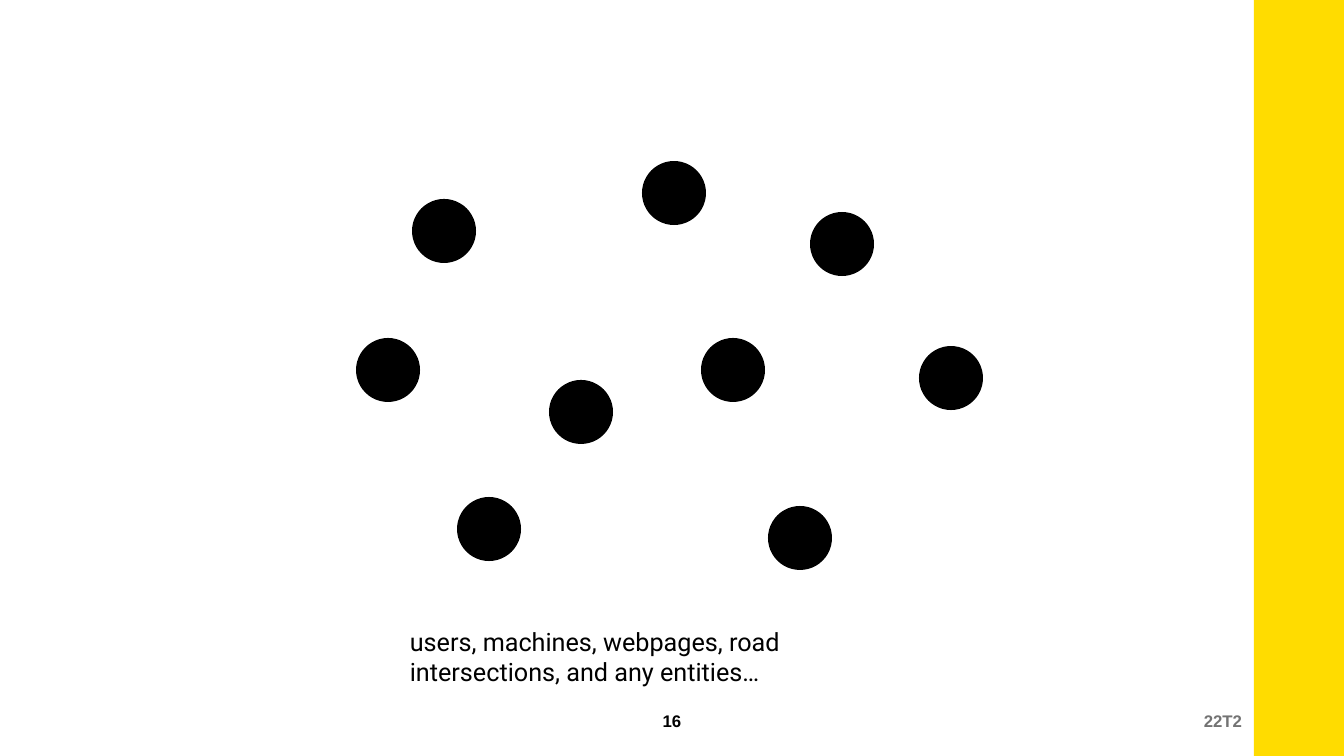
from dataclasses import dataclass

from pptx import Presentation
from pptx import util as u
from pptx.dml.color import RGBColor
from pptx.enum import shapes, text

PX_PER_INCH = 100.8
PAGE_WIDTH, PAGE_HEIGHT = 1344, 756
BAND_WIDTH = 90
DOT_SIZE = 64
DOT_CENTRES = [
    (444, 231), (674, 193), (581, 412), (733, 370), (489, 529),
    (842, 244), (800, 538), (951, 378), (388, 370),
]


@dataclass(frozen=True)
class Theme:
    ink: str = "000000"
    muted: str = "737373"
    accent: str = "FFDC00"
    body_font: str = "Roboto"
    footer_font: str = "Arial"
    body_size: int = 18
    footer_size: int = 12


def px(length):
    return u.Emu(round(length * u.Inches(1) / PX_PER_INCH))


class Painter:
    """Draws styled elements on one slide."""

    def __init__(self, page, theme):
        self.page = page
        self.theme = theme

    def shape(self, kind, left, top, width, height, color):
        shape = self.page.shapes.add_shape(
            kind, px(left), px(top), px(width), px(height))
        shape.shadow.inherit = False
        shape.fill.solid()
        shape.fill.fore_color.rgb = RGBColor.from_string(color)
        shape.line.fill.background()

    def dot(self, center_x, center_y):
        radius = DOT_SIZE // 2
        self.shape(shapes.MSO_SHAPE.OVAL, center_x - radius,
                   center_y - radius, DOT_SIZE, DOT_SIZE, self.theme.ink)

    def label(self, words, left, top, width, height, font, size, color,
              bold=False, align=text.PP_ALIGN.LEFT,
              anchor=text.MSO_ANCHOR.TOP):
        box = self.page.shapes.add_textbox(
            px(left), px(top), px(width), px(height))
        frame = box.text_frame
        frame.word_wrap = True
        frame.vertical_anchor = anchor
        frame.text = words
        para = frame.paragraphs[0]
        para.alignment = align
        span = para.runs[0]
        span.font.name = font
        span.font.size = u.Pt(size)
        span.font.bold = bold
        span.font.color.rgb = RGBColor.from_string(color)

    def footer(self, words, left, width, color, align):
        self.label(words, left, 701, width, 40, self.theme.footer_font,
                   self.theme.footer_size, color, bold=True, align=align,
                   anchor=text.MSO_ANCHOR.MIDDLE)


def main():
    deck = Presentation()
    deck.slide_width, deck.slide_height = px(PAGE_WIDTH), px(PAGE_HEIGHT)
    theme = Theme()
    painter = Painter(deck.slides.add_slide(deck.slide_layouts[6]), theme)

    painter.shape(shapes.MSO_SHAPE.RECTANGLE, PAGE_WIDTH - BAND_WIDTH, 0,
                  BAND_WIDTH, PAGE_HEIGHT, theme.accent)
    for center in DOT_CENTRES:
        painter.dot(*center)
    painter.footer("16", 521, 302, theme.ink, text.PP_ALIGN.CENTER)
    painter.footer("22T2", 798, 454, theme.muted, text.PP_ALIGN.RIGHT)
    painter.label(
        "users, machines, webpages, road intersections, and any entities…",
        400, 621, 532, 72, theme.body_font, theme.body_size, theme.ink)
    deck.save("out.pptx")


if __name__ == "__main__":
    main()
